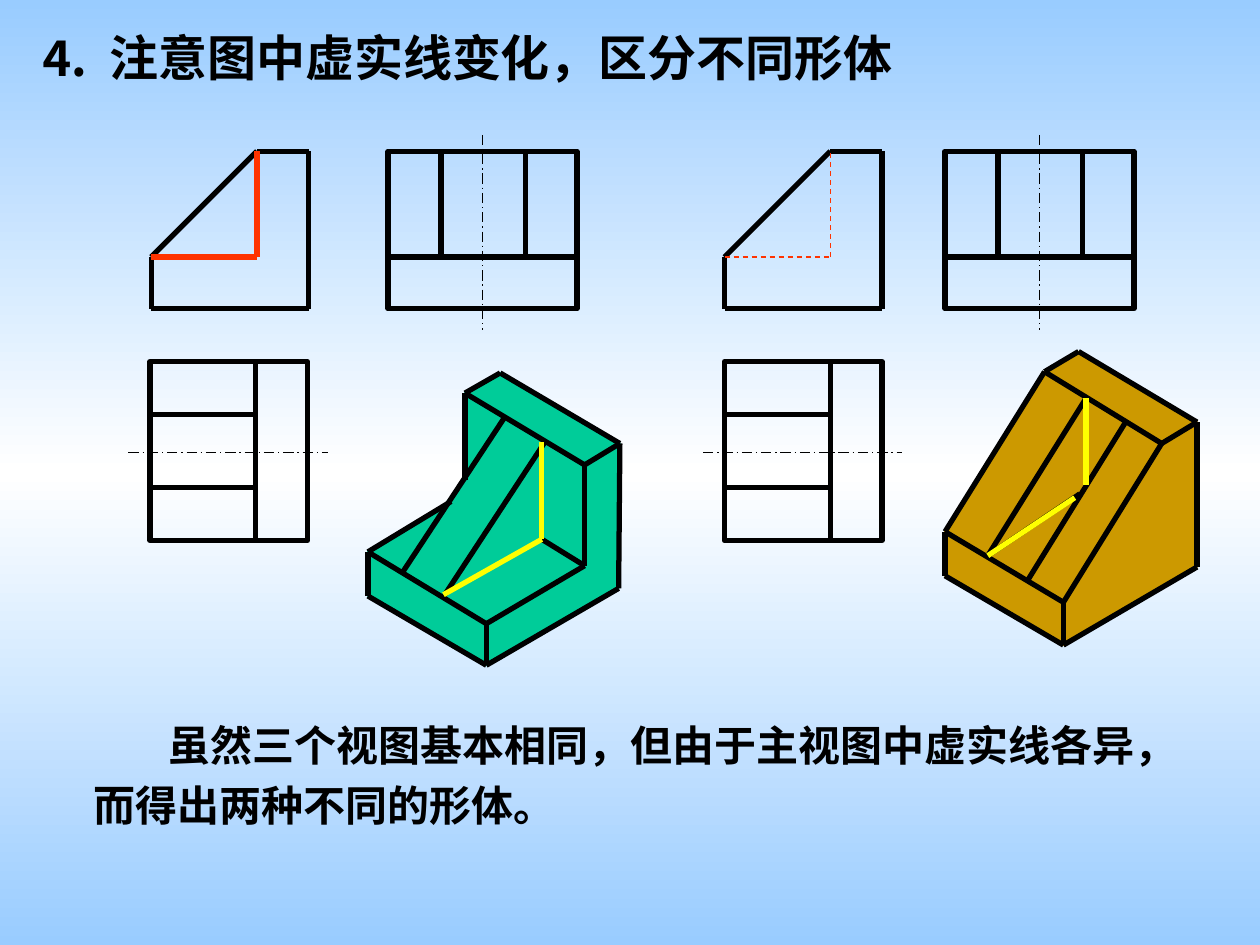
from copy import deepcopy
from dataclasses import dataclass
from itertools import pairwise

from lxml.etree import SubElement
from pptx import Presentation
from pptx.dml.color import RGBColor as RGB
from pptx.enum.dml import MSO_LINE as Dash
from pptx.enum.shapes import MSO_CONNECTOR as Conn, MSO_SHAPE as Shape
from pptx.enum.text import MSO_ANCHOR as Anchor, MSO_AUTO_SIZE as AutoSize, PP_ALIGN as Align
from pptx.oxml.ns import qn
from pptx.util import Inches, Pt


@dataclass(frozen=True)
class Theme:
    sky: str = "99CCFF"
    white: str = "FFFFFF"
    ink: str = "000000"
    green: str = "00CC99"
    ochre: str = "CC9900"
    red: str = "FF3300"
    yellow: str = "FFFF00"
    font: str = "Times New Roman"
    title: int = 28
    body: int = 24
    thick: float = 3
    thin: float = 0.75


T = Theme()
ROWS = 1.2, 2.04, 2.45
PLAN_ROWS = 2.87, 3.29, 3.87, 4.29
STEP, DEPTH, WIDTH = 0.84, 1.25, 1.5


def rgb(value):
    return RGB.from_string(value)


def paint_background(slide):
    fill = slide.background.fill
    fill.gradient()
    fill.gradient_angle = 270
    first = fill.gradient_stops[0]._gs
    first.addnext(deepcopy(first))
    for stop, pos, color in zip(fill.gradient_stops, (0, 0.5, 1), (T.sky, T.white, T.sky)):
        stop.position = pos
        stop.color.rgb = rgb(color)


def fill_placeholder(sp, box, text, size):
    sp.left, sp.top, sp.width, sp.height = map(Inches, box)
    tf = sp.text_frame
    tf.word_wrap = True
    tf.auto_size = AutoSize.NONE
    tf.vertical_anchor = Anchor.MIDDLE
    p = tf.paragraphs[0]
    p.alignment = Align.LEFT
    p.space_before = Pt(0)
    r = p.add_run()
    r.text = text
    r.font.name, r.font.size, r.font.bold = T.font, Pt(size), True
    r.font.color.rgb = rgb(T.ink)
    return p


def add_title(slide):
    p = fill_placeholder(slide.shapes.title, (0.21, 0.17, 8.86, 0.57),
                         "⒋\t注意图中虚实线变化，区分不同形体", T.title)
    tabs = SubElement(p._p.get_or_add_pPr(), qn("a:tabLst"))
    SubElement(tabs, qn("a:tab"), pos=str(Inches(0.56)), algn="l")


def add_body(slide):
    p = fill_placeholder(slide.placeholders[1], (0.64, 5.58, 8.93, 1.06),
                         "虽然三个视图基本相同，但由于主视图中虚实线各异，而得出两种不同的形体。", T.body)
    p.line_spacing = 1.2
    ppr = p._p.get_or_add_pPr()
    ppr.set("marL", "0")
    ppr.set("indent", str(Inches(0.6)))
    SubElement(ppr, qn("a:buNone"))


def add_lines(shapes, *points, color=T.ink, width=T.thick, dash=None):
    for start, end in pairwise(points):
        c = shapes.add_connector(Conn.STRAIGHT, *map(Inches, start + end))
        c.line.color.rgb = rgb(color)
        c.line.width = Pt(width)
        if dash:
            c.line.dash_style = dash
        SubElement(c._element.spPr, qn("a:effectLst"))


def add_axis(shapes, start, end):
    add_lines(shapes, start, end, width=T.thin, dash=Dash.LONG_DASH_DOT)


def add_frame(shapes, x, y, w, h):
    sp = shapes.add_shape(Shape.RECTANGLE, *map(Inches, (x, y, w, h)))
    sp.shadow.inherit = False
    sp.fill.background()
    sp.line.color.rgb = rgb(T.ink)
    sp.line.width = Pt(T.thick)


def add_front_view(slide, x, width, dash=None):
    shapes = slide.shapes.add_group_shape().shapes
    top, shelf, base = ROWS
    inner, right = x + STEP, x + DEPTH
    add_lines(shapes, (x, shelf), (x, base), (right, base), (right, top),
              (inner, top), (x, shelf))
    add_lines(shapes, (x, shelf), (inner, shelf), (inner, top),
              color=T.red, width=width, dash=dash)


def add_side_view(slide, x):
    shapes = slide.shapes.add_group_shape().shapes
    top, shelf, base = ROWS
    add_frame(shapes, x, top, WIDTH, base - top)
    add_lines(shapes, (x, shelf), (x + WIDTH, shelf))
    for dx in (0.42, 1.09):
        add_lines(shapes, (x + dx, top), (x + dx, shelf))
    middle = x + WIDTH / 2
    add_axis(shapes, (middle, 1.07), (middle, 2.62))


def add_plan_view(slide, x):
    shapes = slide.shapes.add_group_shape().shapes
    top, *ribs, base = PLAN_ROWS
    inner = x + STEP
    add_frame(shapes, x, top, DEPTH, base - top)
    for y in ribs:
        add_lines(shapes, (x, y), (inner, y))
    add_lines(shapes, (inner, top), (inner, base))
    add_axis(shapes, (x - 0.17, 3.59), (x + 1.41, 3.59))


def add_solid(slide, color, outline, edges, highlights):
    shapes = slide.shapes.add_group_shape().shapes
    start, *rest = [tuple(map(Inches, point)) for point in outline]
    builder = shapes.build_freeform(*start)
    builder.add_line_segments(rest, close=True)
    sp = builder.convert_to_shape()
    sp.shadow.inherit = False
    sp.fill.solid()
    sp.fill.fore_color.rgb = rgb(color)
    sp.line.color.rgb = rgb(color)
    sp.line.width = Pt(1)
    for edge in edges:
        add_lines(shapes, *edge)
    for edge in highlights:
        add_lines(shapes, *edge, color=T.yellow)


def add_ribbed_solid(slide):
    peak, back, right, front = (3.69, 3.12), (3.97, 2.96), (4.92, 3.52), (4.64, 3.69)
    right_base, base, left_base = (4.91, 4.67), (3.86, 5.28), (2.92, 4.73)
    left, corner, inner = (2.92, 4.38), (3.86, 4.95), (4.64, 4.49)
    wall_foot, shelf_back = (3.69, 3.81), (3.58, 3.98)
    rib_top, rib_foot, rib_heel = (4.3, 3.51), (3.52, 4.72), (4.3, 4.28)
    add_solid(
        slide, T.green,
        [peak, back, right, right_base, base, left_base, left, (3.51, 4.03), wall_foot],
        [(peak, back, right, right_base, base, left_base, left, corner, inner, front, peak),
         (front, right), (corner, base), (peak, wall_foot), (left, shelf_back),
         ((4, 3.32), (3.19, 4.55)), ((4.33, 3.5), (3.53, 4.72)), (inner, rib_heel)],
        [(rib_top, rib_heel), (rib_heel, rib_foot)])


def add_grooved_solid(slide):
    peak, back, right, front = (8.29, 2.95), (8.56, 2.79), (9.5, 3.35), (9.22, 3.52)
    right_base, base, left_base = (9.5, 4.5), (8.44, 5.12), (7.5, 4.57)
    left, corner = (7.5, 4.22), (8.44, 4.78)
    groove_top, groove_foot, groove_heel = (8.62, 3.16), (7.84, 4.41), (8.62, 3.85)
    outline = [peak, back, right, right_base, base, left_base, left]
    add_solid(
        slide, T.ochre, outline,
        [(*outline, peak), (peak, front, corner, left), (front, right), (corner, base),
         (groove_top, groove_foot), ((8.94, 3.34), (8.16, 4.6)),
         ((8.57, 3.92), groove_foot)],
        [(groove_top, groove_heel), (groove_foot, (8.53, 3.95))])


def main():
    prs = Presentation()
    prs.slide_width, prs.slide_height = Inches(10), Inches(7.5)
    slide = prs.slides.add_slide(prs.slide_layouts[1])
    paint_background(slide)
    add_title(slide)
    add_ribbed_solid(slide)
    add_grooved_solid(slide)
    add_front_view(slide, 1.2, T.thick)
    add_front_view(slide, 5.75, T.thin, Dash.DASH)
    for plan_x, side_x in ((1.19, 3.08), (5.75, 7.5)):
        add_plan_view(slide, plan_x)
        add_side_view(slide, side_x)
    add_body(slide)
    prs.save("out.pptx")


if __name__ == "__main__":
    main()
